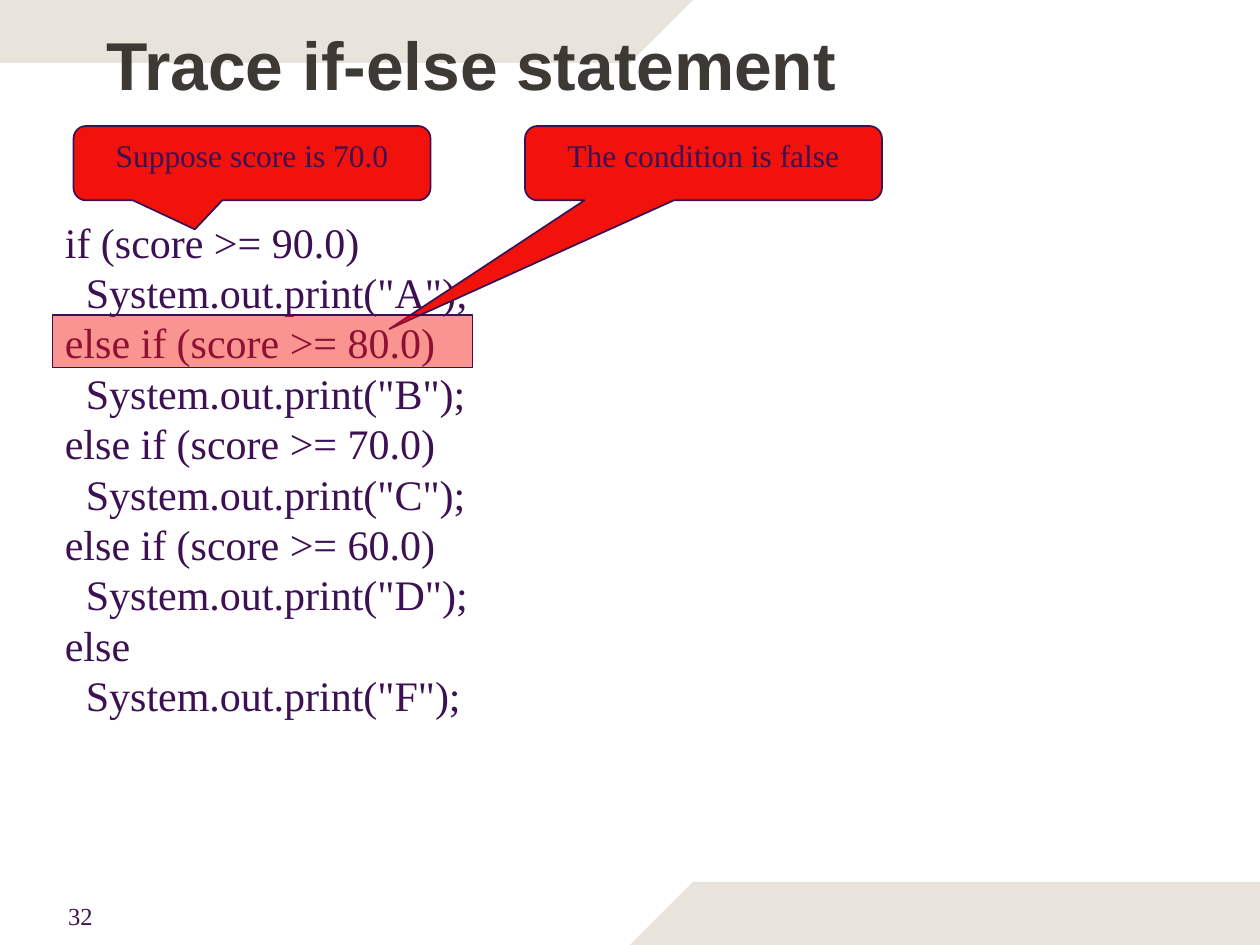
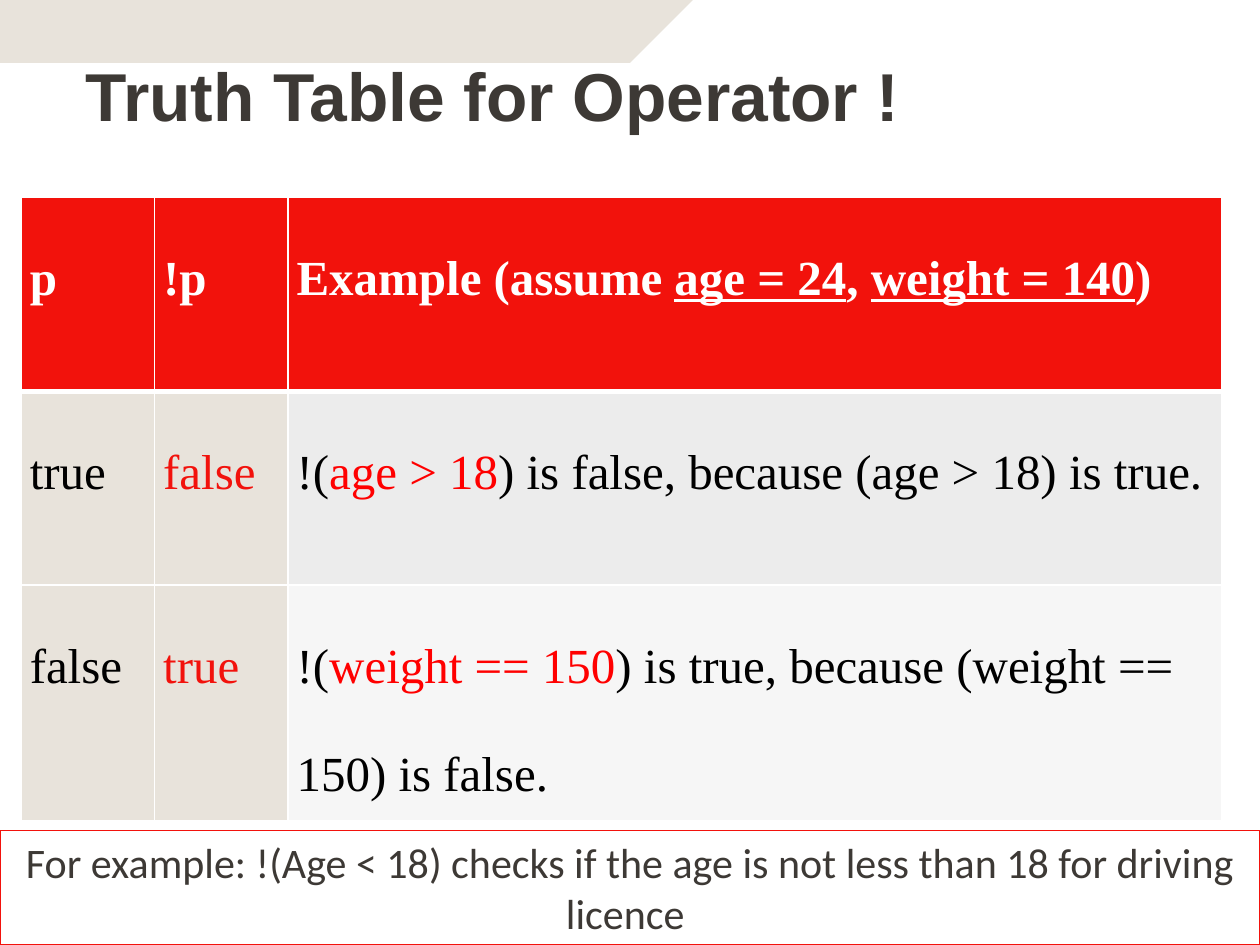
import collections

import lxml.etree
import pptx
import pptx.dml.color
import pptx.enum.shapes
import pptx.enum.text
import pptx.oxml.ns
import pptx.util

SHAPE = pptx.enum.shapes.MSO_SHAPE
ANCHOR = pptx.enum.text.MSO_ANCHOR
ALIGN = pptx.enum.text.PP_ALIGN
Pt = pptx.util.Pt

COLOURS = {
    "white": "FFFFFF",
    "band": "E8E3DB",
    "title": "3D3935",
    "purple": "3C1053",
    "red": "F2120C",
    "term": "FF0000",
    "black": "000000",
    "row_dark": "ECECEC",
    "row_light": "F6F6F6",
}
SERIF, SANS, NOTE = "Times New Roman", "Arial", "Calibri"
COLUMNS, ROWS = 120, 90
WIDTH, HEIGHT = pptx.util.Inches(10), pptx.util.Inches(7.5)

Box = collections.namedtuple("Box", "left top width height")

GRADE_CODE = """if (score >= 90.0)
  System.out.print("A");
else if (score >= 80.0)
  System.out.print("B");
else if (score >= 70.0)
  System.out.print("C");
else if (score >= 60.0)
  System.out.print("D");
else
  System.out.print("F");"""

TRUTH_ROWS = [
    [["p"], ["!p"], ["Example (assume ", "age = 24", ", ", "weight = 140", ")"]],
    [["true"], ["false"], ["!(", "age > 18", ") is false, because (age > 18) is true."]],
    [["false"], ["true"], ["!(", "weight == 150", ") is true, because (weight == 150) is false."]],
]


def across(columns):
    return round(WIDTH * columns / COLUMNS)


def down(rows):
    return round(HEIGHT * rows / ROWS)


def place(box):
    return across(box.left), down(box.top), across(box.width), down(box.height)


def colour(name):
    return pptx.dml.color.RGBColor.from_string(COLOURS[name])


def style_font(font, face, size, colour_name, bold=False):
    font.name = face
    font.size = Pt(size)
    font.bold = bold
    font.color.rgb = colour(colour_name)


def paint(shape, fill, line=None, width=1):
    shape.shadow.inherit = False
    shape.fill.solid()
    shape.fill.fore_color.rgb = colour(fill)
    if line:
        shape.line.color.rgb = colour(line)
        shape.line.width = Pt(width)
    else:
        shape.line.fill.background()


def write(shape, text, face, size, colour_name, bold=False, align=ALIGN.LEFT, anchor=ANCHOR.TOP):
    frame = shape.text_frame
    frame.text = text
    frame.word_wrap = True
    frame.vertical_anchor = anchor
    for paragraph in frame.paragraphs:
        paragraph.alignment = align
        for run in paragraph.runs:
            style_font(run.font, face, size, colour_name, bold)


def add_text(slide, box, text, *style, **options):
    write(slide.shapes.add_textbox(*place(box)), text, *style, **options)


def add_bands(slide):
    top_band = [(0, 0), (66, 0), (60, 6), (0, 6)]
    bottom_band = [(COLUMNS, 90), (60, 90), (66, 84), (COLUMNS, 84)]
    for corners in (top_band, bottom_band):
        start, *others = [(across(x), down(y)) for x, y in corners]
        outline = slide.shapes.build_freeform(*start)
        outline.add_line_segments(others)
        paint(outline.convert_to_shape(), "band")


def add_title(slide, box, text):
    add_text(slide, box, text, SANS, 38.7, "title", bold=True, anchor=ANCHOR.MIDDLE)


def start_slide(deck, title_box, title):
    slide = deck.slides.add_slide(deck.slide_layouts[6])
    add_bands(slide)
    add_title(slide, title_box, title)
    return slide


def add_callout(slide, box, text, tip):
    callout = slide.shapes.add_shape(SHAPE.ROUNDED_RECTANGULAR_CALLOUT, *place(box))
    for index, value in enumerate((*tip, 0.17)):
        callout.adjustments[index] = value
    paint(callout, "red", "purple")
    write(callout, text, SERIF, 18, "purple", align=ALIGN.CENTER)


def add_highlight(slide, code_box):
    current_line = slide.shapes.add_shape(
        SHAPE.RECTANGLE, *place(Box(code_box.left, code_box.top + 10, 40, 5)))
    paint(current_line, "red", "purple")
    tint = current_line.fill._xPr.find(".//" + pptx.oxml.ns.qn("a:srgbClr"))
    lxml.etree.SubElement(tint, pptx.oxml.ns.qn("a:alpha"), val="45000")


def add_trace(slide, box):
    code_box = Box(box.left, box.top + 8, 45, 49.7)
    add_text(slide, code_box, GRADE_CODE, SERIF, 24, "purple")
    callouts = [("Suppose score is 70.0", (-0.16, 0.89)), ("The condition is false", (-0.88, 2.23))]
    for index, (text, tip) in enumerate(callouts):
        add_callout(slide, Box(box.left + 2 + 43 * index, box.top, 34, 7.08), text, tip)
    add_highlight(slide, code_box)


def add_border(cell, side, width):
    properties = cell._tc.get_or_add_tcPr()
    edge = lxml.etree.SubElement(
        properties, pptx.oxml.ns.qn("a:ln" + side), w=str(Pt(width)))
    fill = lxml.etree.SubElement(edge, pptx.oxml.ns.qn("a:solidFill"))
    lxml.etree.SubElement(fill, pptx.oxml.ns.qn("a:srgbClr"), val=COLOURS["white"])


def fill_cell(cell, pieces, row, column):
    cell.margin_left = cell.margin_right = pptx.util.Inches(0.07)
    cell.margin_top = cell.margin_bottom = 0
    for side in "LRTB":
        under_header = (row, side) in ((0, "B"), (1, "T"))
        add_border(cell, side, 3 if under_header else 1)
    example_fill = ("red", "row_dark", "row_light")[row]
    cell.fill.solid()
    cell.fill.fore_color.rgb = colour("band" if row and column < 2 else example_fill)
    paragraph = cell.text_frame.paragraphs[0]
    paragraph.line_spacing = 2.0
    for index, piece in enumerate(pieces):
        run = paragraph.add_run()
        run.text = piece
        is_term = index % 2 == 1
        if row == 0:
            ink = "white"
            run.font.underline = is_term
        elif column == 1:
            ink = "red"
        else:
            ink = "term" if is_term else "black"
        style_font(run.font, SERIF, 28, ink, bold=row == 0)


def add_truth_table(slide, box):
    truth = slide.shapes.add_table(len(TRUTH_ROWS), 3, *place(box)).table
    truth.horz_banding = False
    value_width = box.width / 9
    for column, width in zip(truth.columns, (value_width, value_width, box.width - 2 * value_width)):
        column.width = across(width)
    for row, contents in enumerate(TRUTH_ROWS):
        truth.rows[row].height = down(box.height / len(TRUTH_ROWS))
        for column, pieces in enumerate(contents):
            fill_cell(truth.cell(row, column), pieces, row, column)


def add_example(slide, box):
    example = slide.shapes.add_shape(SHAPE.RECTANGLE, *place(box))
    paint(example, "white", "red", 0.75)
    write(example, "For example: !(Age < 18) checks if the age is not less than 18 for driving licence ",
          NOTE, 24, "title", align=ALIGN.CENTER)


def build_trace_slide(deck):
    slide = start_slide(deck, Box(9, 0, 105, 12), "Trace if-else statement")
    add_text(slide, Box(5.3, 85.2, 7, 4), "32", SERIF, 14, "purple")
    add_trace(slide, Box(5, 12, 79, 58))


def build_truth_slide(deck):
    slide = start_slide(deck, Box(7, 0, 102, 18), "Truth Table for Operator !")
    add_truth_table(slide, Box(2, 18.8, 114.4, 55.4))
    add_example(slide, Box(0, 79.1, COLUMNS, 10.9))


def main():
    deck = pptx.Presentation()
    deck.slide_width, deck.slide_height = WIDTH, HEIGHT
    build_trace_slide(deck)
    build_truth_slide(deck)
    deck.save("out.pptx")


if __name__ == "__main__":
    main()
